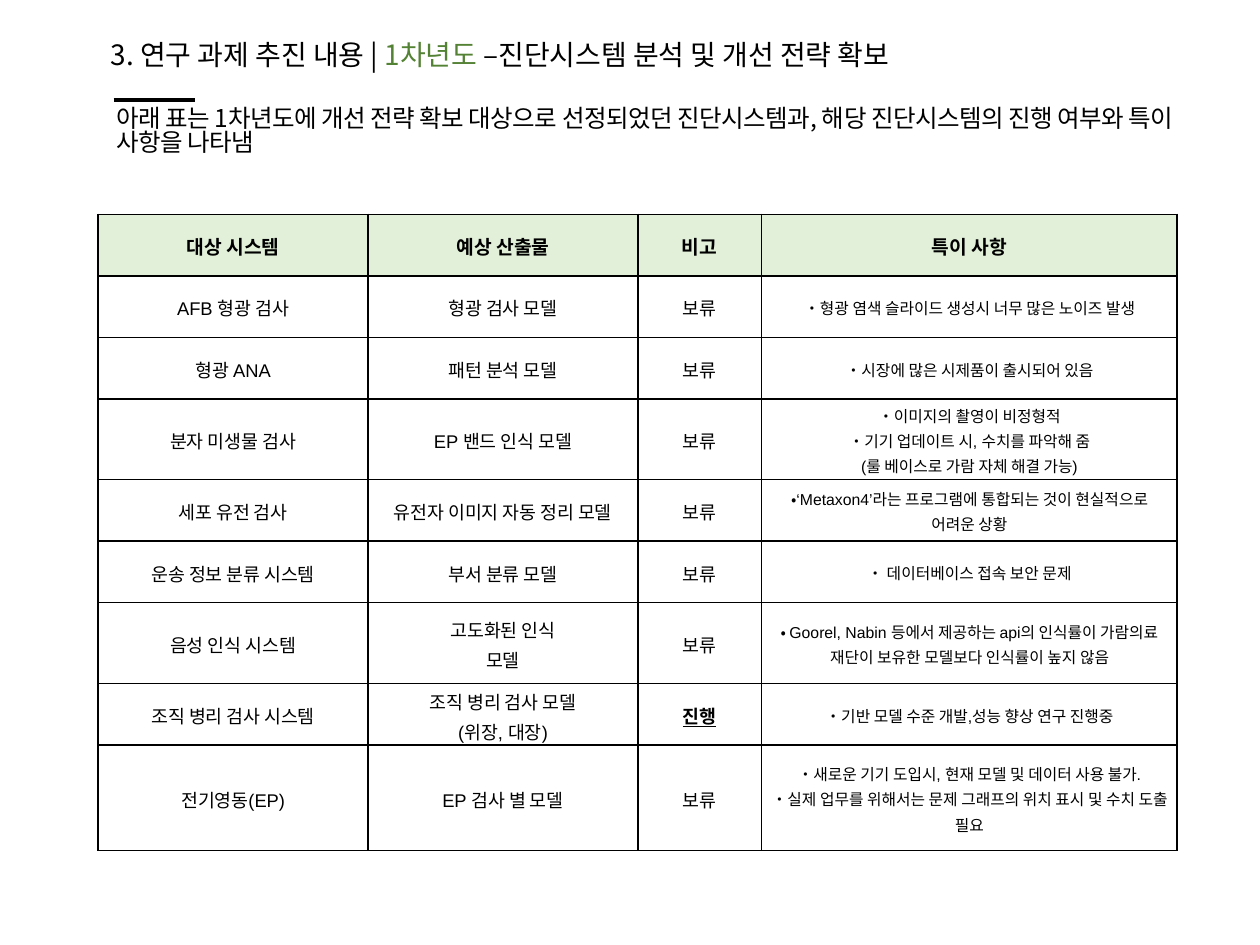
"""Build the slide on first-year diagnostic systems and their progress."""
from copy import deepcopy
from typing import NamedTuple

from lxml.etree import SubElement
from pptx import Presentation
from pptx.dml.color import RGBColor
from pptx.enum.shapes import MSO_CONNECTOR
from pptx.enum.text import MSO_ANCHOR, MSO_AUTO_SIZE, PP_ALIGN
from pptx.oxml.ns import qn
from pptx.util import Cm, Pt

BLACK = RGBColor(0x00, 0x00, 0x00)
WHITE = RGBColor(0xFF, 0xFF, 0xFF)
GREEN = RGBColor(0x54, 0x82, 0x35)
PALE_GREEN = RGBColor(0xE2, 0xF0, 0xD9)
KOREAN_FONT = "Noto Sans CJK KR"
LATIN_FONT = "Arial"
COLUMN_WIDTHS = (5.44, 5.44, 2.49, 8.38)
LOW, MIDDLE, HIGH = 1.24, 1.63, 2.13
HEADINGS = ("대상 시스템", "예상 산출물", "비고", "특이 사항")


class SystemRow(NamedTuple):
    """One system; bars switch to the Latin font and back, \\v breaks a line."""
    system: str
    output: str
    remark: str
    status: str = "보류"
    height: float = LOW


SYSTEMS = (
    SystemRow("|AFB |형광 검사", "형광 검사 모델", "•형광 염색 슬라이드 생성시 너무 많은 노이즈 발생"),
    SystemRow("형광 |ANA", "패턴 분석 모델", "•시장에 많은 시제품이 출시되어 있음"),
    SystemRow("분자 미생물 검사", "|EP |밴드 인식 모델",
              "•이미지의 촬영이 비정형적\n•기기 업데이트 시|, |수치를 파악해 줌\v"
              "|(|룰 베이스로 가람 자체 해결 가능|)", height=MIDDLE),
    SystemRow("세포 유전 검사", "유전자 이미지 자동 정리 모델",
              "•|‘Metaxon4’|라는 프로그램에 통합되는 것이 현실적으로 어려운 상황"),
    SystemRow("운송 정보 분류 시스템", "부서 분류 모델", "• 데이터베이스 접속 보안 문제"),
    SystemRow("음성 인식 시스템", "고도화된 인식\v모델",
              "• |Goorel, Nabin |등에서 제공하는 |api|의 인식률이 가람의료 "
              "재단이 보유한 모델보다 인식률이 높지 않음", height=MIDDLE),
    SystemRow("조직 병리 검사 시스템", "조직 병리 검사 모델\n|(|위장|, |대장|)",
              "•기반 모델 수준 개발|,|성능 향상 연구 진행중", status="진행"),
    SystemRow("전기영동|(EP)", "|EP |검사 별 모델",
              "•새로운 기기 도입시|, |현재 모델 및 데이터 사용 불가|.\n"
              "•실제 업무를 위해서는 문제 그래프의 위치 표시 및 수치 도출 필요", height=HIGH),
)


def add_span(para, text: str, *, size: float, font: str = KOREAN_FONT,
             color: RGBColor = BLACK, bold: bool = False,
             underline: bool = False, spacing: int = 0):
    """Add a formatted run and return its properties element."""
    span = para.add_run()
    span.text = text
    span.font.size = Pt(size)
    span.font.name = font
    span.font.color.rgb = color
    span.font.bold = bold
    span.font.underline = underline
    properties = span._r.get_or_add_rPr()
    SubElement(properties, qn("a:ea")).set("typeface", font)
    if spacing:
        properties.set("spc", str(spacing))
    return properties


def add_marked_text(para, text: str, **style) -> None:
    """Write text whose bars toggle fonts and whose \\v marks break lines."""
    for index, part in enumerate(text.split("|")):
        font = LATIN_FONT if index % 2 else KOREAN_FONT
        for number, line in enumerate(part.split("\v")):
            if number:
                para.add_line_break()
                para._p.findall(qn("a:br"))[-1].append(deepcopy(properties))
            if line:
                properties = add_span(para, line, font=font, **style)


def add_borders(cell) -> None:
    """Draw a thin black line on each side of a cell."""
    properties = cell._tc.get_or_add_tcPr()
    for position, side in enumerate(("lnL", "lnR", "lnT", "lnB")):
        line = properties.makeelement(qn(f"a:{side}"), {"w": str(Pt(1))})
        fill = SubElement(line, qn("a:solidFill"))
        SubElement(fill, qn("a:srgbClr")).set("val", str(BLACK))
        properties.insert(position, line)


def fill_cell(cell, text: str, fill: RGBColor, **style) -> None:
    """Fill, frame and write one table cell."""
    cell.fill.solid()
    cell.fill.fore_color.rgb = fill
    add_borders(cell)
    cell.vertical_anchor = MSO_ANCHOR.MIDDLE
    cell.margin_left = cell.margin_right = Cm(0.18)
    cell.margin_top = cell.margin_bottom = Cm(0.05)
    frame = cell.text_frame
    for index, content in enumerate(text.split("\n")):
        para = frame.add_paragraph() if index else frame.paragraphs[0]
        para.alignment = PP_ALIGN.CENTER
        para.line_spacing = 1.1
        add_marked_text(para, content, **style)


def add_title(page) -> None:
    """Place the title and drop the unused subtitle."""
    subtitle = page.placeholders[1]._element
    subtitle.getparent().remove(subtitle)
    title = page.shapes.title
    title.left, title.top, title.width, title.height = Cm(1.98), Cm(0.41), Cm(18.14), Cm(1.17)
    frame = title.text_frame
    frame.auto_size = MSO_AUTO_SIZE.NONE
    frame.vertical_anchor = MSO_ANCHOR.BOTTOM
    para = frame.paragraphs[0]
    para.alignment = PP_ALIGN.LEFT
    para.line_spacing = 0.9
    add_span(para, "3. 연구 과제 추진 내용 | ", size=16)
    add_span(para, "1차년도 ", size=16, color=GREEN)
    add_span(para, "–진단시스템 분석 및 개선 전략 확보", size=16)


def add_rule(page) -> None:
    """Draw the short rule below the title."""
    rule = page.shapes.add_connector(MSO_CONNECTOR.STRAIGHT, Cm(2.29), Cm(2.01), Cm(3.94), Cm(2.01))
    rule.line.color.rgb = BLACK
    rule.line.width = Pt(2.25)
    SubElement(rule._element.spPr, qn("a:effectLst"))


def add_introduction(page) -> None:
    """Write the sentence that introduces the table."""
    box = page.shapes.add_textbox(Cm(2.31), Cm(2.18), Cm(21.39), Cm(1.19))
    frame = box.text_frame
    frame.word_wrap = True
    frame.margin_left = Cm(0.03)
    frame.margin_right = frame.margin_top = frame.margin_bottom = 0
    para = frame.paragraphs[0]
    para.line_spacing = 0.82
    add_span(para, "아래 표는 1차년도에 개선 전략 확보 대상으로 선정되었던 진단시스템과, "
             "해당 진단시스템의 진행 여부와 특이 사항을 나타냄", size=14, spacing=-30)


def add_system_table(page) -> None:
    """Draw the table of systems, outputs, status and remarks."""
    heights = [LOW] + [row.height for row in SYSTEMS]
    table = page.shapes.add_table(len(heights), len(COLUMN_WIDTHS), Cm(1.98), Cm(4.32),
                                  Cm(sum(COLUMN_WIDTHS)), Cm(sum(heights))).table
    for column, width in zip(table.columns, COLUMN_WIDTHS):
        column.width = Cm(width)
    for row, height in zip(table.rows, heights):
        row.height = Cm(height)
    for column, heading in enumerate(HEADINGS):
        fill_cell(table.cell(0, column), heading, PALE_GREEN, size=11, bold=True)
    for number, row in enumerate(SYSTEMS, start=1):
        active = row.status == "진행"
        fill_cell(table.cell(number, 0), row.system, WHITE, size=10.5)
        fill_cell(table.cell(number, 1), row.output, WHITE, size=10.5)
        fill_cell(table.cell(number, 2), row.status, WHITE, size=10.5,
                  bold=active, underline=active)
        fill_cell(table.cell(number, 3), row.remark, WHITE, size=9)


def main() -> None:
    """Build and save the deck."""
    deck = Presentation()
    deck.slide_width, deck.slide_height = Cm(25.4), Cm(19.05)
    page = deck.slides.add_slide(deck.slide_layouts[0])
    add_title(page)
    add_rule(page)
    add_introduction(page)
    add_system_table(page)
    deck.save("out.pptx")


if __name__ == "__main__":
    main()
